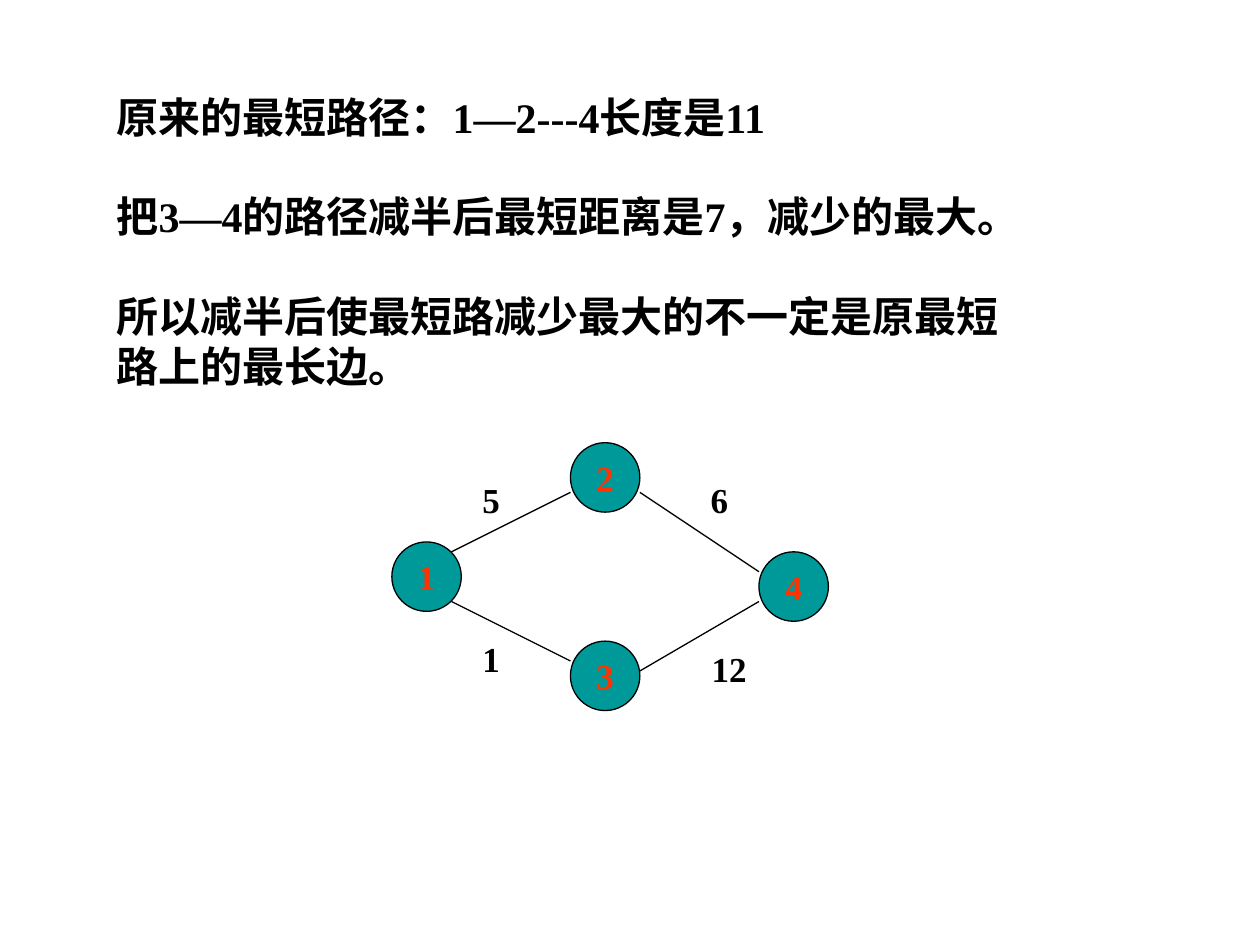
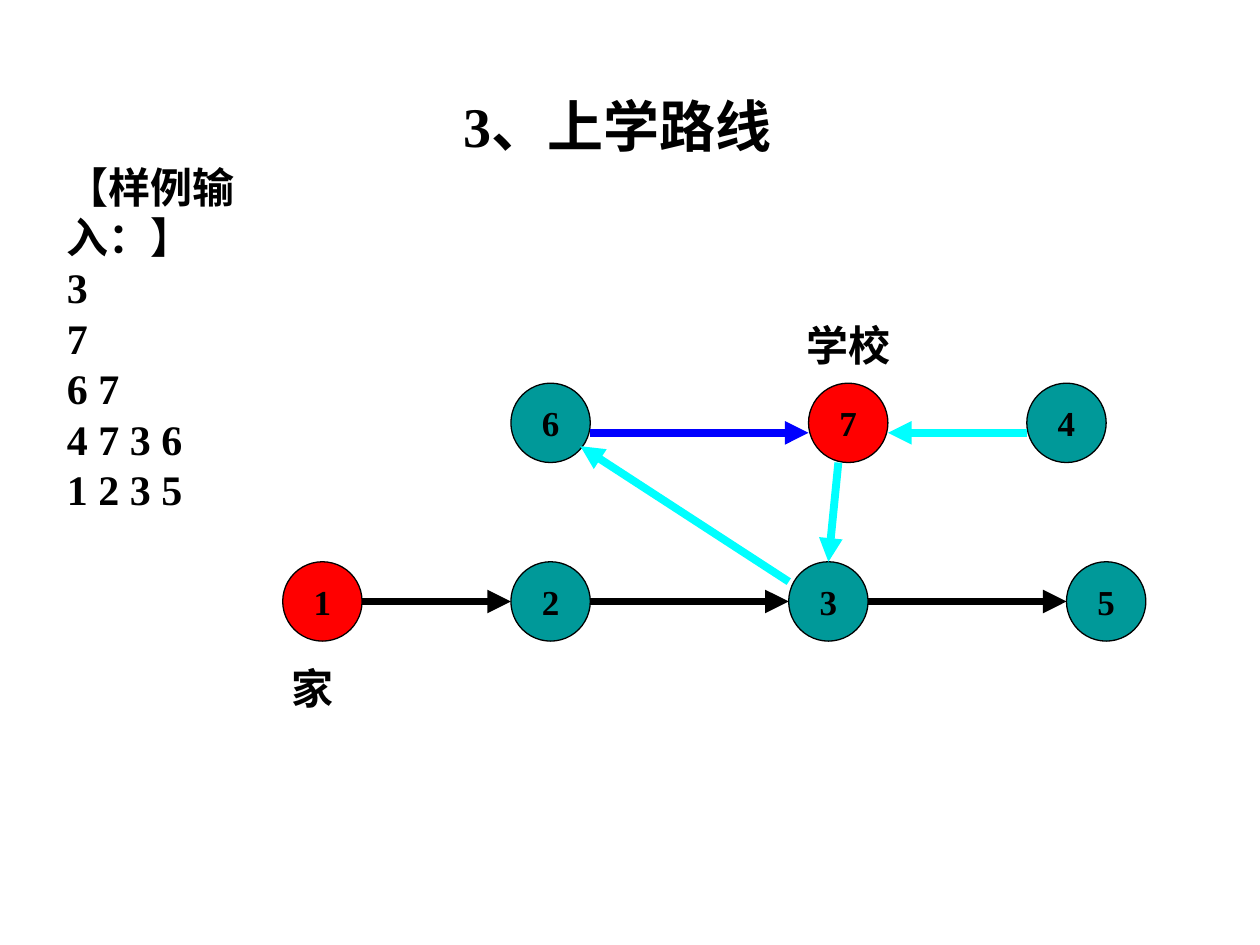
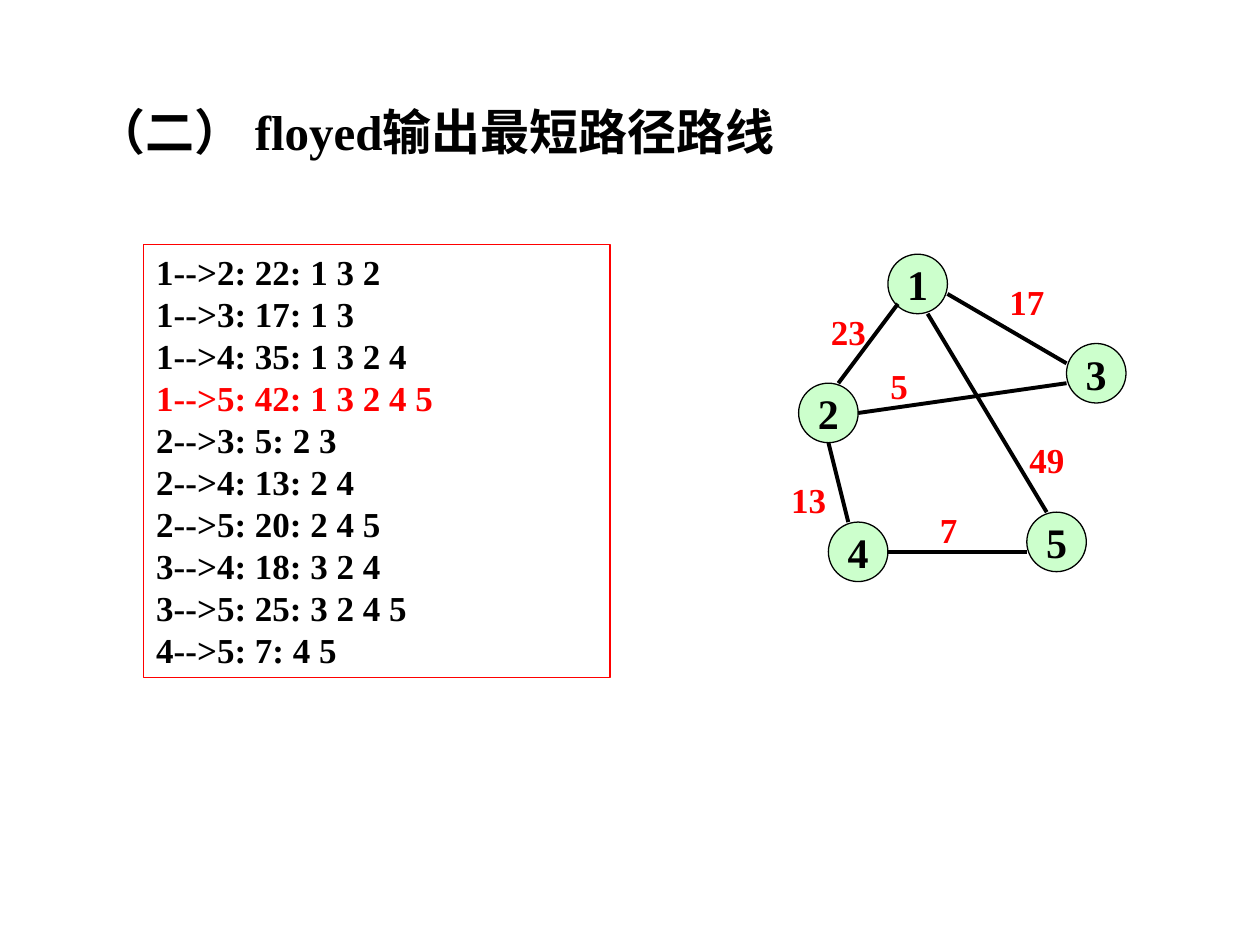
import pptx
import pptx.dml.color
import pptx.enum.lang
import pptx.enum.shapes
import pptx.enum.text
import pptx.oxml.ns
import pptx.util
import lxml.etree

COLORS = {
    "black": "000000",
    "teal": "009999",
    "red": "FF0000",
    "orange": "FF3300",
    "blue": "0000FF",
    "cyan": "00FFFF",
    "mint": "CCFFCC",
}
FONT = "Times New Roman"
WIDTH = pptx.util.Inches(10)
HEIGHT = pptx.util.Inches(7.5)
COLUMNS = 254
UNIT = WIDTH / COLUMNS
TOP_OFFSET = 0.25
THIN = 0.75

LEFT = pptx.enum.text.PP_ALIGN.LEFT
CENTER = pptx.enum.text.PP_ALIGN.CENTER
TITLE_ONLY, BLANK = 5, 6


def color(name):
    return pptx.dml.color.RGBColor.from_string(COLORS[name])


def across(column):
    return pptx.util.Emu(round(column * UNIT))


def down(row):
    return across(row + TOP_OFFSET)


def box(left, top, width, height):
    return across(left), down(top), across(width), across(height)


def write(shape, lines, size, ink="black", align=LEFT, wrap=True,
          anchor=pptx.enum.text.MSO_ANCHOR.TOP, highlights=()):
    frame = shape.text_frame
    frame.auto_size = pptx.enum.text.MSO_AUTO_SIZE.NONE
    frame.word_wrap = wrap
    frame.vertical_anchor = anchor
    for index, line in enumerate(lines):
        paragraph = frame.add_paragraph() if index else frame.paragraphs[0]
        paragraph.alignment = align
        run = paragraph.add_run()
        run.text = line
        run.font.name = FONT
        run.font.size = pptx.util.Pt(size)
        run.font.bold = True
        run.font.language_id = pptx.enum.lang.MSO_LANGUAGE_ID.SIMPLIFIED_CHINESE
        run.font.color.rgb = color("red" if line in highlights else ink)


def set_line(shape, ink, weight):
    shape.line.color.rgb = color(ink)
    shape.line.width = pptx.util.Pt(weight)


def add_title(slide, text, place, size, align):
    title = slide.shapes.title
    title.left, title.top, title.width, title.height = box(*place)
    write(title, [text], size, align=align)


def add_text(slide, lines, place, size, **style):
    write(slide.shapes.add_textbox(*box(*place)), lines, size, **style)


def add_node(slide, name, corner, diameter, fill, size, ink="black"):
    node = slide.shapes.add_shape(
        pptx.enum.shapes.MSO_SHAPE.OVAL, *box(*corner, diameter, diameter))
    node.shadow.inherit = False
    node.fill.solid()
    node.fill.fore_color.rgb = color(fill)
    set_line(node, "black", THIN)
    write(node, [name], size, ink, CENTER, wrap=False,
          anchor=pptx.enum.text.MSO_ANCHOR.MIDDLE)


def add_edge(slide, start, end, weight, ink="black", arrow=False):
    edge = slide.shapes.add_connector(
        pptx.enum.shapes.MSO_CONNECTOR.STRAIGHT,
        across(start[0]), down(start[1]), across(end[0]), down(end[1]))
    set_line(edge, ink, weight)
    properties = edge._element.spPr
    if arrow:
        line = properties.find(pptx.oxml.ns.qn("a:ln"))
        lxml.etree.SubElement(line, pptx.oxml.ns.qn("a:tailEnd"), type="triangle")
    lxml.etree.SubElement(properties, pptx.oxml.ns.qn("a:effectLst"))


def add_list_frame(slide, lines, place, size, highlights):
    frame = slide.shapes.add_shape(
        pptx.enum.shapes.MSO_SHAPE.RECTANGLE, *box(*place))
    frame.shadow.inherit = False
    frame.fill.background()
    set_line(frame, "red", THIN)
    write(frame, lines, size, highlights=highlights)


def build_halving(presentation):
    slide = presentation.slides.add_slide(presentation.slide_layouts[BLANK])
    nodes = {"1": (79, 109), "2": (115, 89), "3": (115, 129), "4": (153, 111)}
    for name, corner in nodes.items():
        add_node(slide, name, corner, 14, "teal", 20, "orange")
    edges = [
        ((91, 111), (115, 99), "5", (91, 95)),
        ((129, 99), (153, 115), "6", (137, 95)),
        ((91, 121), (115, 133), "1", (91, 127)),
        ((129, 135), (153, 121), "12", (139, 129)),
    ]
    for start, end, length, corner in edges:
        add_edge(slide, start, end, THIN)
        add_text(slide, [length], (*corner, 16, 11), 20, align=CENTER)
    remarks = [
        ("原来的最短路径：1—2---4长度是11", 17, 162, 12.7),
        ("把3—4的路径减半后最短距离是7，减少的最大。", 37, 180, 22.9),
        ("所以减半后使最短路减少最大的不一定是原最短路上的最长边。", 57, 190, 22.9),
    ]
    for text, top, width, height in remarks:
        add_text(slide, [text], (21, top, width, height), 24)


def build_school_route(presentation):
    slide = presentation.slides.add_slide(presentation.slide_layouts[TITLE_ONLY])
    add_title(slide, "3、上学路线", (84.6, 17, 80, 16.3), 32, CENTER)
    upper, lower = 77, 113
    nodes = {
        "2": (103, lower), "1": (57, lower), "3": (159, lower), "5": (215, lower),
        "4": (207, upper), "6": (103, upper), "7": (163, upper),
    }
    for name, corner in nodes.items():
        add_node(slide, name, corner, 16, "red" if name in "17" else "teal", 20)
    edges = [
        ((119, 87), (163, 87), "blue"),
        ((207, 87), (179, 87), "cyan"),
        ((169, 93), (167, 113), "cyan"),
        ((159, 117), (117, 89.7), "cyan"),
        ((73, 121), (103, 121), "black"),
        ((119, 121), (159, 121), "black"),
        ((175, 121), (215, 121), "black"),
    ]
    for start, end, ink in edges:
        add_edge(slide, start, end, 4.5, ink, arrow=True)
    for text, corner in {"家": (50, 132), "学校": (158, 63)}.items():
        add_text(slide, [text], (*corner, 26, 12.7), 24, align=CENTER)
    sample = ["【样例输入：】", "3", "7", "6 7", "4 7 3 6", "1 2 3 5"]
    add_text(slide, sample, (11, 31, 62, 73.7), 24)


def build_path_output(presentation):
    slide = presentation.slides.add_slide(presentation.slide_layouts[TITLE_ONLY])
    add_title(slide, "（二） floyed输出最短路径路线", (17, 19, 152, 14.5), 28, LEFT)
    nodes = {"1": (179, 51), "2": (161, 77), "3": (215, 69),
             "4": (167, 105), "5": (207, 103)}
    for name, corner in nodes.items():
        add_node(slide, name, corner, 12, "mint", 24)
    edges = [
        ((181, 61), (169, 77), "23", (165, 61)),
        ((191, 59), (215, 73), "17", (201, 55)),
        ((173, 83), (215, 77), "5", (177, 72)),
        ((167, 89), (171, 105), "13", (157, 95)),
        ((179, 111), (207, 111), "7", (187, 101)),
        ((187, 63), (211, 103), "49", (205, 87)),
    ]
    for start, end, length, corner in edges:
        add_edge(slide, start, end, 2.25)
        add_text(slide, [length], (*corner, 14, 11), 20, ink="red")
    longest = "1-->5: 42: 1 3 2 4 5"
    paths = [
        "1-->2: 22: 1 3 2", "1-->3: 17: 1 3", "1-->4: 35: 1 3 2 4", longest,
        "2-->3: 5: 2 3", "2-->4: 13: 2 4", "2-->5: 20: 2 4 5",
        "3-->4: 18: 3 2 4", "3-->5: 25: 3 2 4 5", "4-->5: 7: 4 5",
    ]
    add_list_frame(slide, paths, (29, 49, 94, 87.4), 20, [longest])


def main():
    presentation = pptx.Presentation()
    presentation.slide_width = WIDTH
    presentation.slide_height = HEIGHT
    build_halving(presentation)
    build_school_route(presentation)
    build_path_output(presentation)
    presentation.save("out.pptx")


main()
